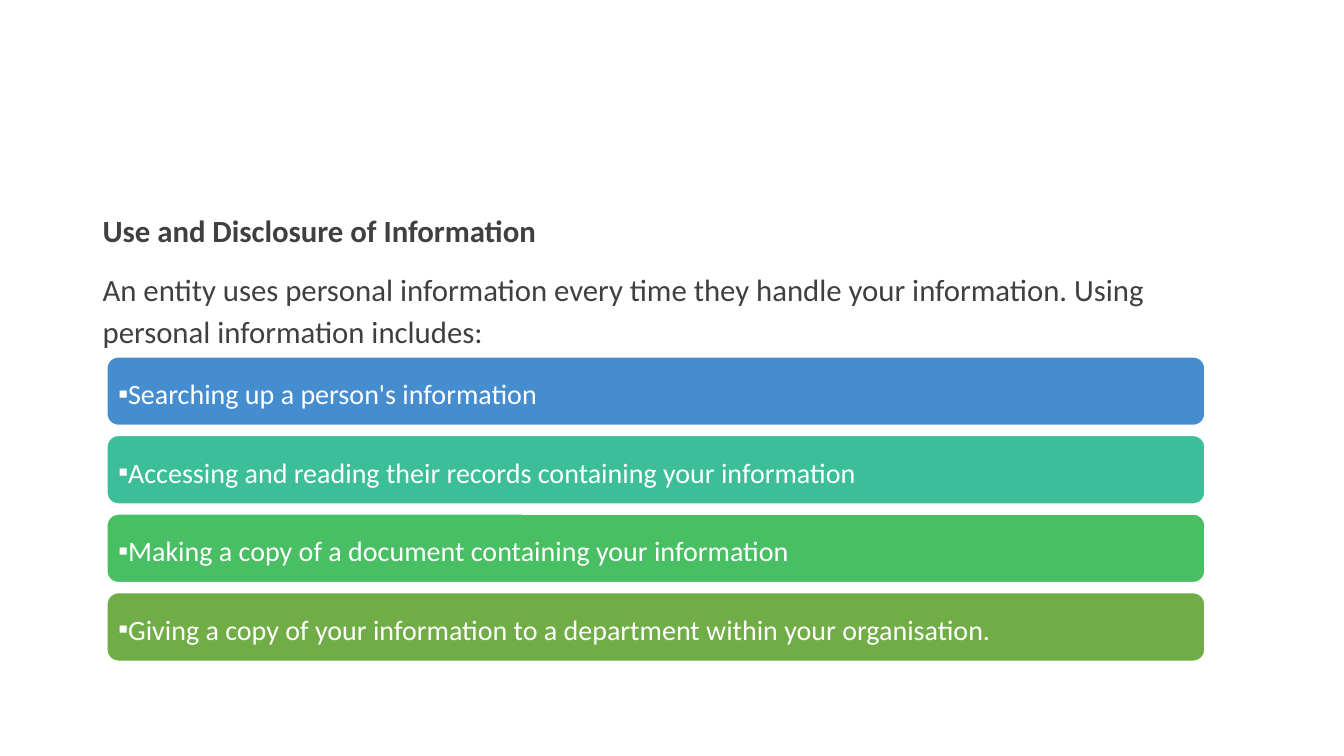
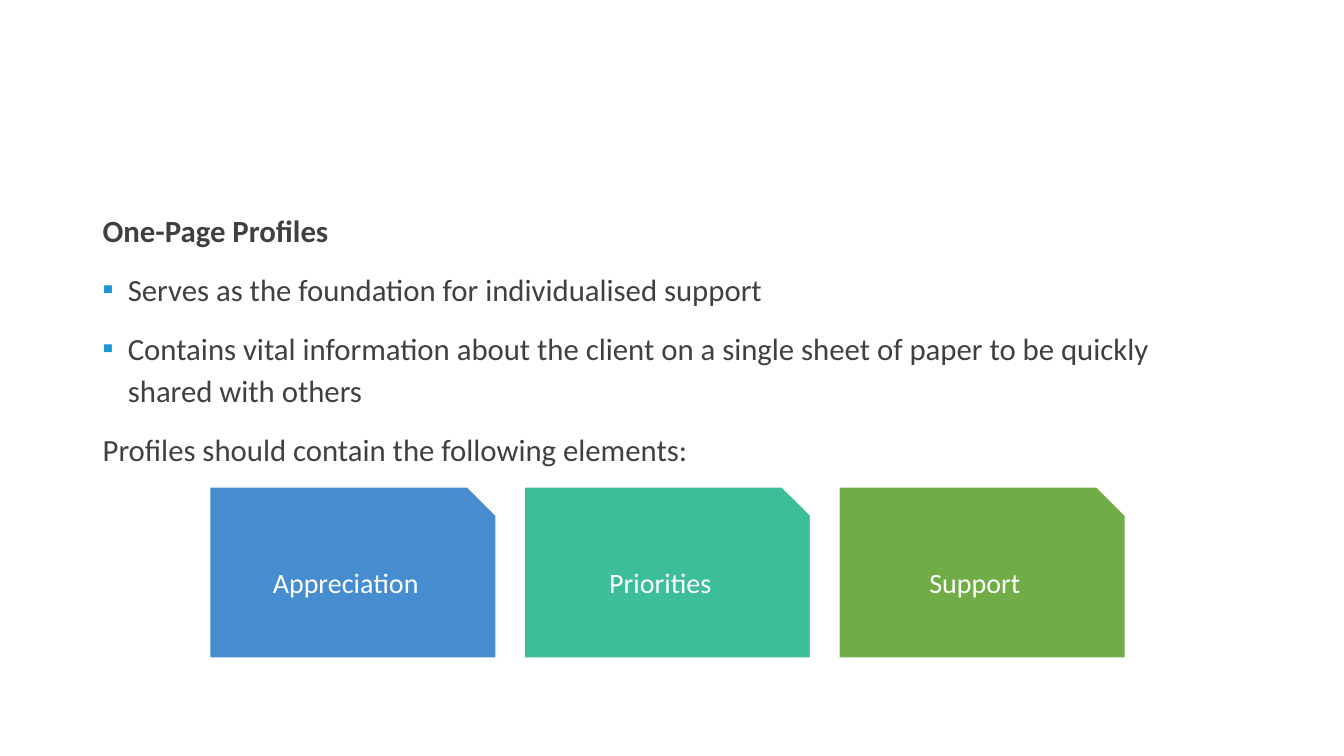
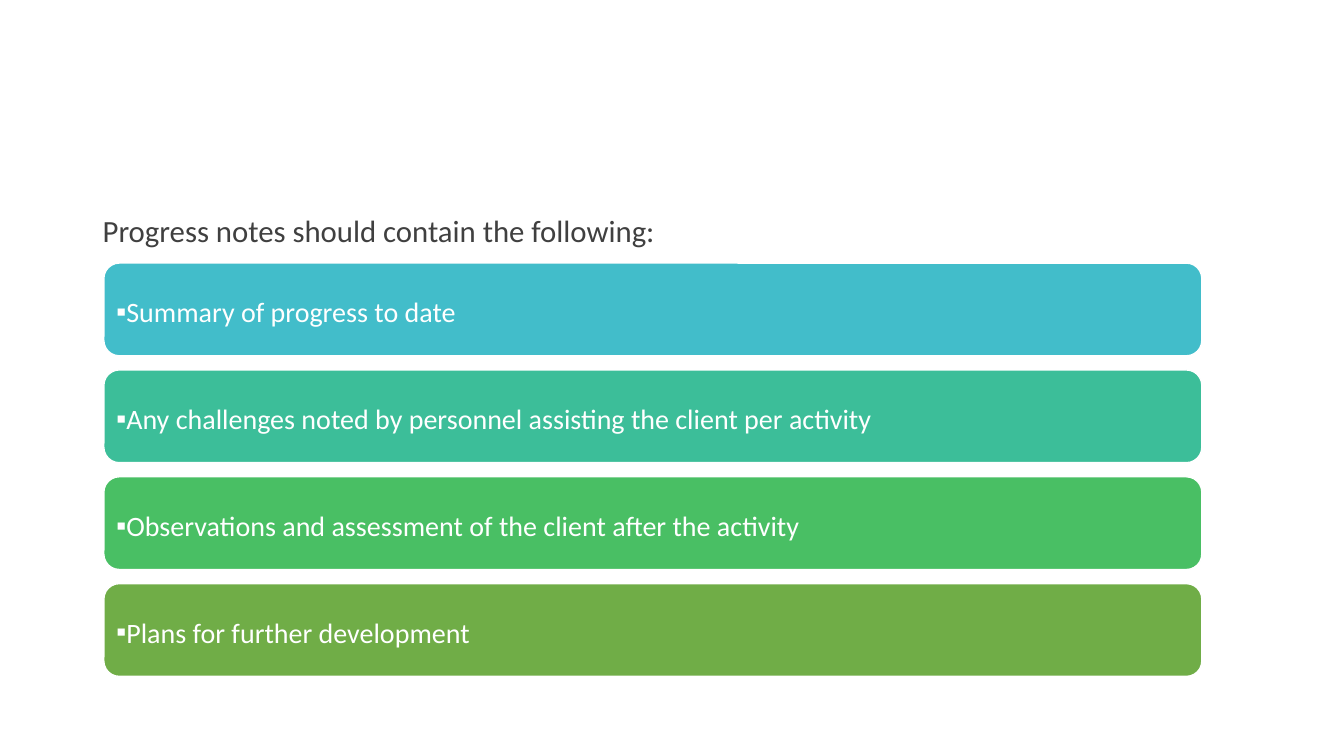
"""Builds three slides on client information, one-page profiles and progress notes."""
from lxml import etree
from pptx import Presentation
from pptx.dml.color import RGBColor
from pptx.enum import shapes, text
from pptx.oxml.ns import qn
from pptx.util import Inches, Pt

FONT, INK, WHITE, ACCENT = "Calibri", "404040", "FFFFFF", "1C96D3"
BLUE, CYAN, TEAL, GREEN, OLIVE = "458DCF", "42BDCA", "3CBE99", "49BF64", "70AD47"
BODY = (0.92, 2, 11.03, 4.76)
BAR = {"kind": shapes.MSO_SHAPE.ROUNDED_RECTANGLE, "align": text.PP_ALIGN.LEFT, "bullet": WHITE}
CARD = {"kind": shapes.MSO_SHAPE.SNIP_1_RECTANGLE, "align": text.PP_ALIGN.CENTER, "bullet": None}

SLIDES = [
    {
        "body": [
            ("Use and Disclosure of Information", "heading"),
            ("An entity uses personal information every time they handle your information. "
             "Using personal information includes:", "plain"),
        ],
        "style": BAR, "first": (1.06, 3.54, 10.89, 0.68), "step": (0, 0.78),
        "items": [
            ("Searching up a person's information", BLUE),
            ("Accessing and reading their records containing your information", TEAL),
            ("Making a copy of a document containing your information", GREEN),
            ("Giving a copy of your information to a department within your organisation.", OLIVE),
        ],
    },
    {
        "body": [
            ("One-Page Profiles", "heading"),
            ("Serves as the foundation for individualised support", "bullet"),
            ("Contains vital information about the client on a single sheet of paper "
             "to be quickly shared with others", "bullet"),
            ("Profiles should contain the following elements:", "plain"),
        ],
        "style": CARD, "first": (2.08, 4.83, 2.84, 1.7), "step": (3.12, 0),
        "items": [("Appreciation", BLUE), ("Priorities", TEAL), ("Support", OLIVE)],
    },
    {
        "body": [("Progress notes should contain the following:", "plain")],
        "style": BAR, "first": (1.03, 2.61, 10.89, 0.92), "step": (0, 1.06),
        "items": [
            ("Summary of progress to date", CYAN),
            ("Any challenges noted by personnel assisting the client per activity", TEAL),
            ("Observations and assessment of the client after the activity", GREEN),
            ("Plans for further development", OLIVE),
        ],
    },
]


def rgb(value):
    return RGBColor.from_string(value)


def set_all(obj, **values):
    for name, value in values.items():
        setattr(obj, name, value)


def add_bullet(p, color, indent):
    pPr = p._p.get_or_add_pPr()
    pPr.set("marL", str(Inches(indent)))
    pPr.set("indent", str(-Inches(indent)))
    clr = etree.SubElement(pPr, qn("a:buClr"))
    etree.SubElement(clr, qn("a:srgbClr"), val=color)
    etree.SubElement(pPr, qn("a:buFont"), typeface=FONT)
    etree.SubElement(pPr, qn("a:buChar"), char="▪")


def write(p, words, size, color, bold=False, bullet=None, indent=0, before=0,
          align=text.PP_ALIGN.LEFT):
    if bullet:
        add_bullet(p, bullet, indent)
    set_all(p, line_spacing=1.14, space_before=Pt(before), space_after=Pt(6), alignment=align)
    r = p.add_run()
    r.text = words
    set_all(r.font, name=FONT, size=Pt(size), bold=bold)
    r.font.color.rgb = rgb(color)


def add_body(s, paragraphs):
    tf = s.shapes.add_textbox(*map(Inches, BODY)).text_frame
    tf.word_wrap = True
    for i, (words, role) in enumerate(paragraphs):
        p = tf.add_paragraph() if i else tf.paragraphs[0]
        write(p, words, 22, INK, bold=role == "heading", indent=0.25, before=6 if i else 0,
              bullet=ACCENT if role == "bullet" else None)


def add_items(s, style, first, step, items):
    left, top, width, height = first
    for i, (words, fill) in enumerate(items):
        place = (left + i * step[0], top + i * step[1], width, height)
        sp = s.shapes.add_shape(style["kind"], *map(Inches, place))
        sp.shadow.inherit = False
        sp.fill.solid()
        sp.fill.fore_color.rgb = rgb(fill)
        sp.line.color.rgb = rgb(WHITE)
        sp.line.width = Pt(1)
        tf = sp.text_frame
        margins = {f"margin_{side}": Inches(0.08) for side in ("left", "top", "right", "bottom")}
        set_all(tf, word_wrap=True, vertical_anchor=text.MSO_ANCHOR.MIDDLE, **margins)
        write(tf.paragraphs[0], words, 20, WHITE, bullet=style["bullet"], align=style["align"])


def main():
    prs = Presentation()
    set_all(prs, slide_width=Inches(13.33), slide_height=Inches(7.5))
    for content in SLIDES:
        s = prs.slides.add_slide(prs.slide_layouts[6])
        add_body(s, content["body"])
        add_items(s, content["style"], content["first"], content["step"], content["items"])
    prs.save("out.pptx")


if __name__ == "__main__":
    main()
